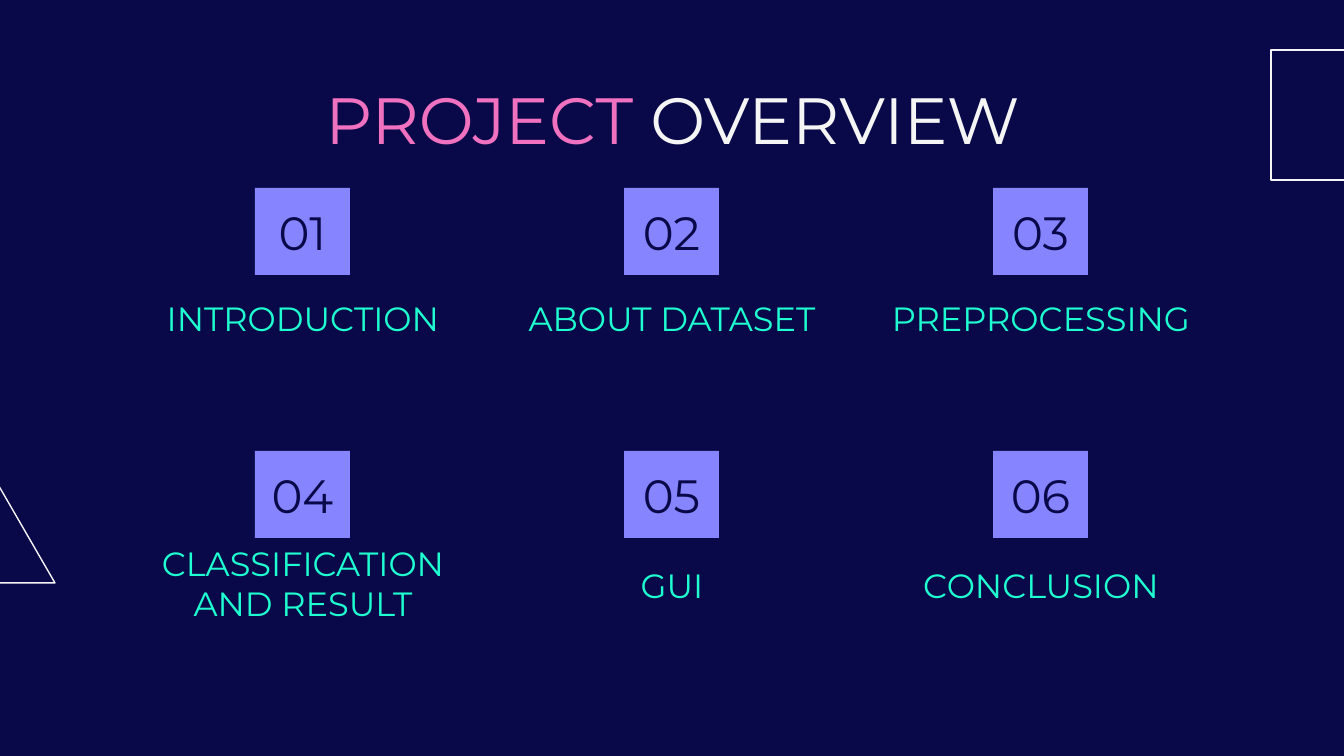
from dataclasses import dataclass

from pptx import Presentation
from pptx.dml.color import RGBColor as Rgb
from pptx.enum.shapes import MSO_SHAPE as Preset
from pptx.enum.text import MSO_ANCHOR as Anchor, MSO_AUTO_SIZE as AutoSize, PP_ALIGN as Align
from pptx.shapes.autoshape import Shape
from pptx.slide import Slide
from pptx.text.text import _Paragraph as Paragraph
from pptx.util import Emu, Inches, Pt

EMU_PER_PX = 914400 / 134.4


@dataclass(frozen=True)
class Theme:
    font: str = "Montserrat"
    navy: Rgb = Rgb.from_string("090949")
    violet: Rgb = Rgb.from_string("8684FF")
    mint: Rgb = Rgb.from_string("1FFED0")
    pink: Rgb = Rgb.from_string("F071C0")
    white: Rgb = Rgb.from_string("F5F5F5")
    title_size: Pt = Pt(35)
    number_size: Pt = Pt(25)
    label_size: Pt = Pt(18)
    outline: Pt = Pt(0.75)


@dataclass(frozen=True)
class Box:
    left: int
    top: int
    width: int
    height: int

    def emu(self) -> tuple[Emu, ...]:
        return tuple(px(n) for n in (self.left, self.top, self.width, self.height))


@dataclass(frozen=True)
class Topic:
    label: str
    label_shift: int = 0


THEME = Theme()
TOPICS = [
    Topic("INTRODUCTION"),
    Topic("ABOUT DATASET"),
    Topic("PREPROCESSING"),
    Topic("CLASSIFICATION AND RESULT", label_shift=18),
    Topic("GUI"),
    Topic("CONCLUSION"),
]
COLUMNS = 3
FIRST_CENTER, COLUMN_PITCH = 303, 369
TILE_TOPS, LABEL_TOPS = (188, 451), (267, 534)
TILE_WIDTH, TILE_HEIGHT = 95, 87
LABEL_WIDTH, LABEL_HEIGHT = 372, 85


def px(length: int) -> Emu:
    return Emu(round(length * EMU_PER_PX))


def prepare_text(holder: Shape, anchor: Anchor, size: Pt) -> Paragraph:
    """Set up the frame and return its centred first paragraph."""
    frame = holder.text_frame
    frame.word_wrap = True
    frame.auto_size = AutoSize.NONE
    frame.vertical_anchor = anchor
    frame.margin_left = frame.margin_right = Inches(0.1)
    frame.margin_top = frame.margin_bottom = Inches(0.1)
    paragraph = frame.paragraphs[0]
    paragraph.alignment = Align.CENTER
    paragraph.font.name = THEME.font
    paragraph.font.size = size
    return paragraph


def write(holder: Shape, text: str, anchor: Anchor, size: Pt, color: Rgb) -> None:
    paragraph = prepare_text(holder, anchor, size)
    paragraph.text = text
    paragraph.font.color.rgb = color


def draw_title(slide: Slide) -> None:
    title = slide.shapes.title
    title.left, title.top, title.width, title.height = Box(106, 66, 1133, 85).emu()
    heading = prepare_text(title, Anchor.TOP, THEME.title_size)
    for word, color in (("PROJECT ", THEME.pink), ("OVERVIEW", THEME.white)):
        run = heading.add_run()
        run.text = word
        run.font.color.rgb = color


def draw_topic(slide: Slide, index: int, topic: Topic) -> None:
    row, column = divmod(index, COLUMNS)
    center = FIRST_CENTER + column * COLUMN_PITCH

    label_box = Box(center - LABEL_WIDTH // 2, LABEL_TOPS[row] + topic.label_shift,
                    LABEL_WIDTH, LABEL_HEIGHT)
    label = slide.shapes.add_textbox(*label_box.emu())
    write(label, topic.label, Anchor.BOTTOM, THEME.label_size, THEME.mint)

    tile_box = Box(center - TILE_WIDTH // 2 - 1, TILE_TOPS[row], TILE_WIDTH, TILE_HEIGHT)
    tile = slide.shapes.add_shape(Preset.RECTANGLE, *tile_box.emu())
    tile.shadow.inherit = False
    tile.fill.solid()
    tile.fill.fore_color.rgb = THEME.violet
    tile.line.fill.background()
    write(tile, f"{index + 1:02}", Anchor.MIDDLE, THEME.number_size, THEME.navy)


def draw_outline(slide: Slide, preset: Preset, box: Box) -> None:
    outline = slide.shapes.add_shape(preset, *box.emu())
    outline.shadow.inherit = False
    outline.fill.background()
    outline.line.color.rgb = THEME.white
    outline.line.width = THEME.outline


def main() -> None:
    deck = Presentation()
    deck.slide_width, deck.slide_height = px(1344), px(756)
    slide = deck.slides.add_slide(deck.slide_layouts[5])
    slide.background.fill.solid()
    slide.background.fill.fore_color.rgb = THEME.navy

    # Heading
    draw_title(slide)

    # Numbered topics
    for index, topic in enumerate(TOPICS):
        draw_topic(slide, index, topic)

    # Edge decoration
    draw_outline(slide, Preset.ISOSCELES_TRIANGLE, Box(-122, 430, 177, 153))
    draw_outline(slide, Preset.RECTANGLE, Box(1271, 50, 126, 130))

    deck.save("out.pptx")


if __name__ == "__main__":
    main()
